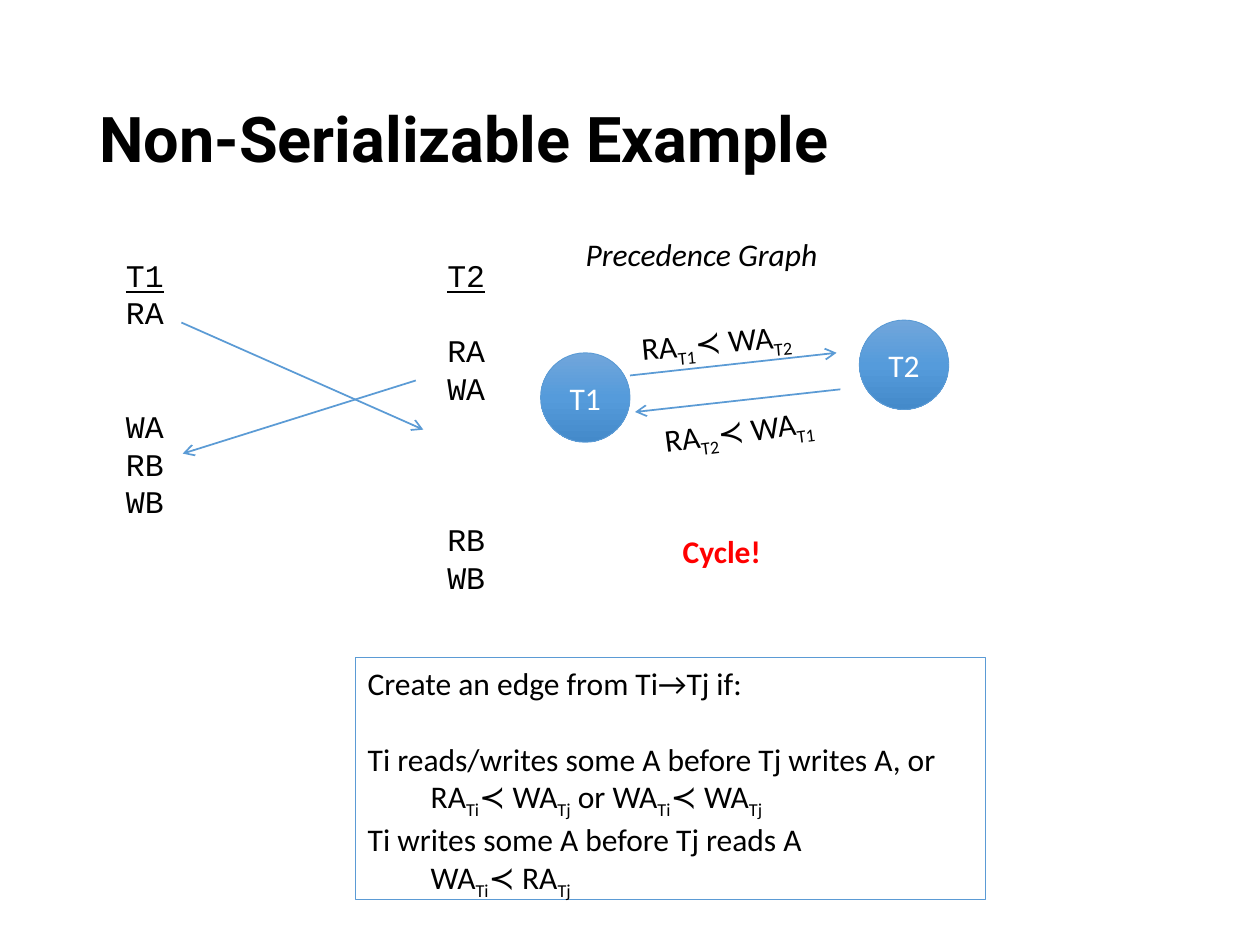
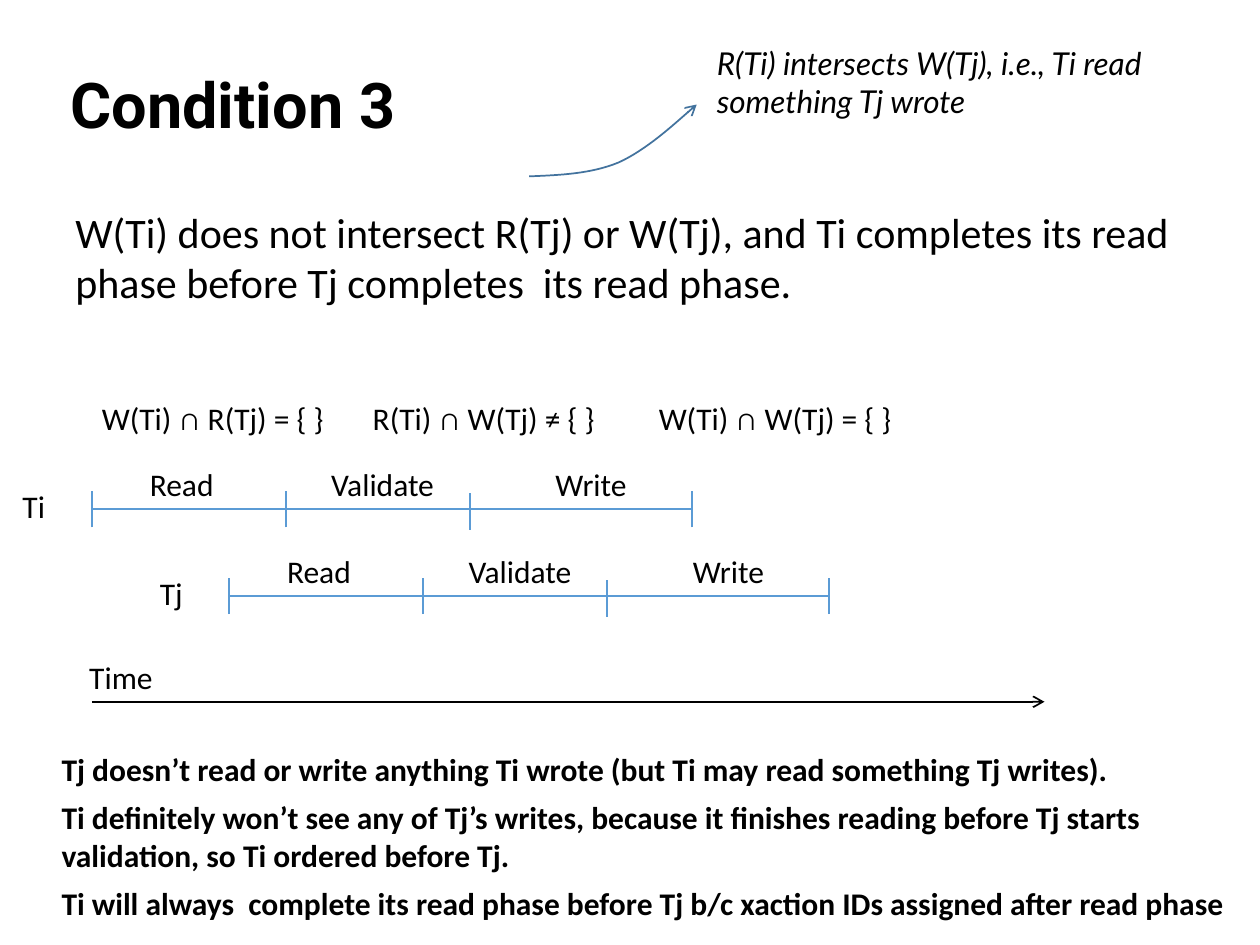
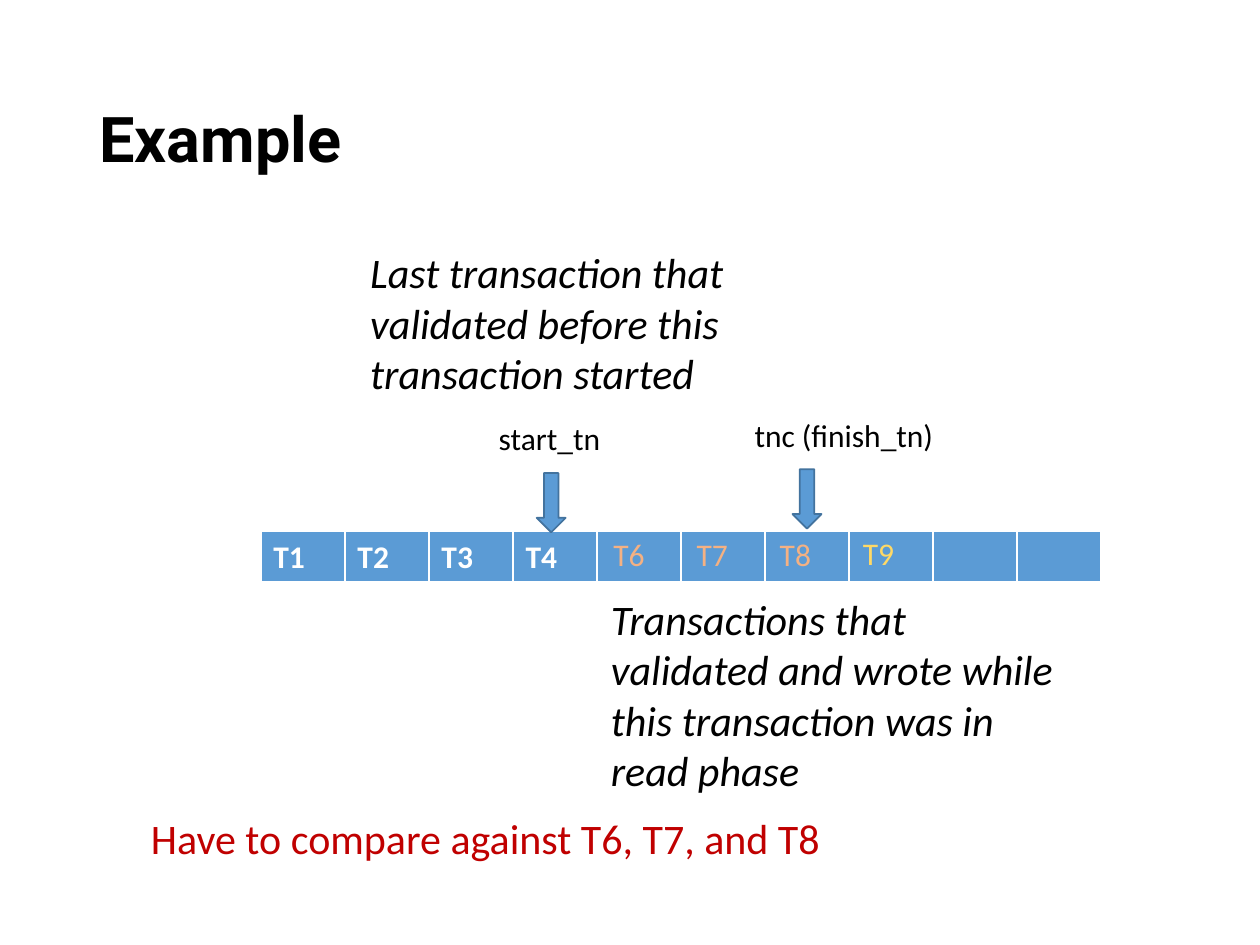
"""Build three slides on transaction ordering and optimistic validation."""
from copy import deepcopy
from dataclasses import dataclass

from lxml import etree
from pptx import Presentation
from pptx.dml.color import RGBColor
from pptx.enum.shapes import MSO_CONNECTOR, MSO_SHAPE
from pptx.enum.text import MSO_ANCHOR, PP_ALIGN
from pptx.oxml.ns import qn
from pptx.util import Emu, Inches, Pt

STRAIGHT = MSO_CONNECTOR.STRAIGHT
RECT, OVAL, DOWN = MSO_SHAPE.RECTANGLE, MSO_SHAPE.OVAL, MSO_SHAPE.DOWN_ARROW
TOP, MIDDLE = MSO_ANCHOR.TOP, MSO_ANCHOR.MIDDLE
LEFT, CENTER = PP_ALIGN.LEFT, PP_ALIGN.CENTER

COLORS = {
    "black": "000000", "white": "FFFFFF", "blue": "5B9BD5", "navy": "43739E",
    "top": "71A6DB", "mid": "559BDB", "bottom": "448ACA", "red": "FF0000",
    "brick": "C00000", "peach": "F4B183", "gold": "FFD966",
}
WIDTH, HEIGHT = Inches(10), Inches(7.5)
COLS, ROWS = 100, 75


@dataclass(frozen=True)
class Box:
    """An area in grid columns and rows."""
    col: float
    row: float
    cols: float
    rows: float = 4

    def emu(self) -> tuple[Emu, Emu, Emu, Emu]:
        """Return left, top, width and height."""
        return x(self.col), y(self.row), x(self.cols), y(self.rows)


@dataclass(frozen=True)
class Para:
    """A paragraph whose every second piece is a subscript."""
    pieces: tuple[str, ...]
    indent: float = 0
    before: float = 0


@dataclass(frozen=True)
class Phase:
    """A phase of a transaction, placed from the start of its timeline."""
    name: str
    label_col: float
    label_cols: float
    end_col: float
    drop: float = 0


@dataclass(frozen=True)
class Node:
    """A transaction in the precedence graph."""
    name: str
    col: float
    row: float


@dataclass(frozen=True)
class Arrow:
    """An arrow between two grid points."""
    start: tuple[float, float]
    end: tuple[float, float]


@dataclass(frozen=True)
class Label:
    """A short text with its place, colour and rotation."""
    pieces: tuple[str, ...]
    box: Box
    color: str = "black"
    turn: float = 0


PHASES = (Phase("Read", 3.6, 7.1, 15.4), Phase("Validate", 18, 12.8, 30, 0.2),
          Phase("Write", 35.8, 12.8, 47.6))


def x(cols: float) -> Emu:
    """Convert columns to a length."""
    return Emu(round(WIDTH * cols / COLS))


def y(rows: float) -> Emu:
    """Convert rows to a length."""
    return Emu(round(HEIGHT * rows / ROWS))


def rgb(name: str) -> RGBColor:
    """Look up a colour."""
    return RGBColor.from_string(COLORS[name])


def add_run(p, text: str, *, size: float = 18, font: str = "Calibri",
            color: str = "black", bold: bool = False, italic: bool = False,
            underline: bool = False, sub: bool = False) -> None:
    """Add a formatted run to a paragraph."""
    r = p.add_run()
    r.text = text
    f = r.font
    f.size, f.name, f.bold, f.italic = Pt(size), font, bold, italic
    f.underline = underline
    f.color.rgb = rgb(color)
    if sub:
        f._element.set("baseline", "-25000")


def write(sp, *paras: str | Para, anchor=TOP, align=LEFT, spacing: float = 1,
          before: float = 0, after: float = 0, **font) -> None:
    """Fill a shape with paragraphs."""
    tf = sp.text_frame
    tf.word_wrap = True
    tf.vertical_anchor = anchor
    for i, item in enumerate(paras):
        para = item if isinstance(item, Para) else Para((item,))
        p = tf.add_paragraph() if i else tf.paragraphs[0]
        p.alignment, p.line_spacing = align, spacing
        p.space_before = Pt(para.before or before)
        p.space_after = Pt(after)
        if para.indent:
            p._p.get_or_add_pPr().set("marL", str(x(para.indent)))
        for j, piece in enumerate(para.pieces):
            add_run(p, piece, sub=j % 2 == 1, **font)


def add_text(slide, box: Box, *paras: str | Para, turn: float = 0, **fmt) -> None:
    """Add a text box."""
    sp = slide.shapes.add_textbox(*box.emu())
    sp.rotation = turn
    write(sp, *paras, **fmt)


def add_label(slide, label: Label) -> None:
    """Add a short label."""
    add_text(slide, label.box, Para(label.pieces), color=label.color, turn=label.turn)


def add_title(slide, text: str, col: float = 6.9, row: float = 4) -> None:
    """Add the slide title."""
    add_text(slide, Box(col, row, 86.2, 14.5), text, anchor=MIDDLE, spacing=0.9,
             size=36, font="Roboto", bold=True)


def add_shape(slide, kind, box: Box, fill: str | None = None,
              line: str | None = None, weight: float = 1):
    """Add a flat preset shape."""
    sp = slide.shapes.add_shape(kind, *box.emu())
    sp.shadow.inherit = False
    if fill:
        sp.fill.solid()
        sp.fill.fore_color.rgb = rgb(fill)
    else:
        sp.fill.background()
    if line:
        sp.line.color.rgb = rgb(line)
        sp.line.width = Pt(weight)
    else:
        sp.line.fill.background()
    return sp


def add_head(sp) -> None:
    """Put an open arrowhead on the end of a line."""
    ln = sp._element.spPr.find(qn("a:ln"))
    etree.SubElement(ln, qn("a:tailEnd"), type="arrow")


def add_line(slide, start: tuple[float, float], end: tuple[float, float],
             color: str = "blue", head: bool = False) -> None:
    """Draw a straight line."""
    sp = slide.shapes.add_connector(STRAIGHT, x(start[0]), y(start[1]),
                                    x(end[0]), y(end[1]))
    sp.line.color.rgb = rgb(color)
    sp.line.width = Pt(1)
    if head:
        add_head(sp)
    etree.SubElement(sp._element.spPr, qn("a:effectLst"))


def add_curve(slide, *points: tuple[float, float]) -> None:
    """Draw an arrow along cubic curves through a start and control points."""
    pts = [(x(c), y(r)) for c, r in points]
    fb = slide.shapes.build_freeform(*pts[0], scale=1.0)
    fb.add_line_segments(pts[1:], close=False)
    sp = fb.convert_to_shape()
    sp.shadow.inherit = False
    sp.fill.background()
    sp.line.color.rgb = rgb("navy")
    sp.line.width = Pt(1)
    add_head(sp)
    segments = list(sp._element.iter(qn("a:lnTo")))
    outline = segments[0].getparent()
    for i in range(0, len(segments), 3):
        curve = etree.SubElement(outline, qn("a:cubicBezTo"))
        for seg in segments[i:i + 3]:
            curve.append(seg[0])
            outline.remove(seg)


def add_node(slide, node: Node) -> None:
    """Draw a graph node with a vertical gradient."""
    sp = add_shape(slide, OVAL, Box(node.col, node.row, 7.1, 7.1), None, "blue", 0.5)
    sp.fill.gradient()
    sp.fill.gradient_angle = 270
    stops = next(sp._element.iter(qn("a:gsLst")))
    stops.insert(1, deepcopy(stops[0]))
    for i, (stop, color) in enumerate(zip(sp.fill.gradient_stops,
                                          ("top", "mid", "bottom"))):
        stop.position = i / 2
        stop.color.rgb = rgb(color)
    write(sp, node.name, anchor=MIDDLE, align=CENTER, color="white")


def add_schedule(slide) -> None:
    """Write the interleaved schedule in two columns."""
    gap = 25.5
    sp = add_shape(slide, RECT, Box(4, 19.8, 37.4, 43.4), "white")
    sp.text_frame.margin_left = x(6)
    font = {"font": "Courier New"}
    steps = [Para((op,), gap if second else 0) for op, second in (
        ("RA", False), ("RA", True), ("WA", True), ("WA", False), ("RB", False),
        ("WB", False), ("RB", True), ("WB", True))]
    write(sp, Para(()), *steps, **font)
    p = sp.text_frame.paragraphs[0]
    tabs = etree.SubElement(p._p.get_or_add_pPr(), qn("a:tabLst"))
    etree.SubElement(tabs, qn("a:tab"), pos=str(x(gap)), algn="l")
    add_run(p, "T1", underline=True, **font)
    add_run(p, "\t", **font)
    add_run(p, "T2", underline=True, **font)


def add_timeline(slide, name: str, col: float, row: float) -> None:
    """Draw the phases of a transaction."""
    add_line(slide, (col, row), (col + PHASES[-1].end_col, row))
    for offset, drop in [(0, 0)] + [(ph.end_col, ph.drop) for ph in PHASES]:
        add_line(slide, (col + offset, row + 1.45 + drop),
                 (col + offset, row - 1.45 + drop))
    for ph in PHASES:
        add_text(slide, Box(col + ph.label_col, row - 4, ph.label_cols), ph.name)
    add_text(slide, Box(col - 6.5, row - 2.2, 7.1), name)


def add_strip(slide, box: Box, names: tuple[str, ...], count: int) -> None:
    """Draw a one-row table of transactions."""
    table = slide.shapes.add_table(1, count, *box.emu()).table
    for i, cell in enumerate(table.iter_cells()):
        table.columns[i].width = x(box.cols / count)
        for side in "LRTB":
            ln = etree.SubElement(cell._tc.get_or_add_tcPr(), qn(f"a:ln{side}"),
                                  w=str(Pt(3 if side == "B" else 1)))
            fill = etree.SubElement(ln, qn("a:solidFill"))
            etree.SubElement(fill, qn("a:srgbClr"), val=COLORS["white"])
        cell.fill.solid()
        cell.fill.fore_color.rgb = rgb("blue")
        if i < len(names):
            add_run(cell.text_frame.paragraphs[0], names[i], color="white", bold=True)


def add_pointer(slide, text: str, col: float, row: float, cols: float) -> None:
    """Draw a label with a block arrow below it."""
    add_shape(slide, DOWN, Box(col + 4, row + 4.75, 2.3, 4.7), "blue", "navy")
    add_text(slide, Box(col, row, cols), text)


def build_graph(slide) -> None:
    """Build the slide with the precedence graph."""
    add_title(slide, "Non-Serializable Example")
    add_schedule(slide)
    for node in (Node("T1", 42.9, 28), Node("T2", 68.2, 25.4)):
        add_node(slide, node)
    for arrow in (Arrow((50, 29.8), (66.4, 28)), Arrow((66.7, 30.9), (50.4, 32.7)),
                  Arrow((14.4, 25.6), (33.6, 34.1)), Arrow((33, 30.2), (14.5, 36))):
        add_line(slide, arrow.start, arrow.end, head=True)
    for label in (Label(("RA", "T1", "≺ WA", "T2"), Box(49.9, 24.9, 17.8), turn=354.7),
                  Label(("RA", "T2", "≺ WA", "T1"), Box(51.7, 32, 16.3), turn=352.7)):
        add_label(slide, label)
    add_text(slide, Box(53.2, 41.7, 13.6), "Cycle!", color="red", bold=True)
    add_text(slide, Box(45.5, 18.2, 21.3), "Precedence Graph", italic=True)
    sp = add_shape(slide, RECT, Box(28.2, 52.2, 50, 19.2), None, "blue", 0.75)
    write(sp, "Create an edge from Ti→Tj if:",
          Para(("Ti reads/writes some A before Tj writes A, or",), before=21.6),
          Para(("RA", "Ti", "≺ WA", "Tj", " or WA", "Ti", "≺ WA", "Tj"), 5),
          "Ti writes some A before Tj reads A",
          Para(("WA", "Ti", "≺ RA", "Tj"), 5))


def build_condition(slide) -> None:
    """Build the slide with the two timelines."""
    add_title(slide, "Condition 3", 4.6, 1.3)
    add_text(slide, Box(5, 15.9, 90, 49.5),
             "W(Ti) does not intersect R(Tj) or W(Tj), and Ti completes its read "
             "phase before Tj completes  its read phase.", size=24, before=8)
    add_text(slide, Box(3.9, 59, 97.4, 14.8),
             "Tj doesn’t read or write anything Ti wrote "
             "(but Ti may read something Tj writes).",
             "Ti definitely won’t see any of Tj’s writes, because it finishes reading "
             "before Tj starts validation, so Ti ordered before Tj.",
             "Ti will always  complete its read phase before Tj b/c xaction IDs "
             "assigned after read phase", bold=True, after=6)
    add_timeline(slide, "Ti", 7.3, 40.4)
    add_timeline(slide, "Tj", 18.2, 47.3)
    add_line(slide, (7.3, 55.7), (82.9, 55.7), "black", head=True)
    add_text(slide, Box(6.1, 51.7, 33.2), "Time")
    for text, col in (("W(Ti) ∩ R(Tj) = { }", 7.1), ("R(Ti) ∩ W(Tj) ≠ { }", 28.6),
                      ("W(Ti) ∩ W(Tj) = { }", 51.3)):
        add_text(slide, Box(col, 31.2, 21.5), text)
    add_text(slide, Box(55.9, 3, 42.1, 7.1),
             "R(Ti) intersects W(Tj), i.e., Ti read something Tj wrote",
             font="Lato", italic=True)
    add_curve(slide, (42, 14), (44.5, 13.9), (46.9, 13.8), (49.1, 12.9),
              (51.3, 11.9), (55.3, 8.3), (55.3, 8.3))


def build_example(slide) -> None:
    """Build the slide with the strip of transactions."""
    add_title(slide, "Example")
    add_strip(slide, Box(20.7, 42.2, 66.7, 4.1), ("T1", "T2", "T3", "T4"), 10)
    for i, color in enumerate(("peach", "peach", "peach", "gold")):
        row = 41.9 if color == "gold" else 42
        add_label(slide, Label((f"T{6 + i}",), Box(47.7 + 6.6 * i, row, 5), color))
    add_pointer(slide, "tnc (finish_tn)", 58.9, 32.5, 16.6)
    add_pointer(slide, "start_tn", 38.6, 32.8, 11)
    add_text(slide, Box(47.5, 46.6, 38.4, 17.2),
             "Transactions that validated and wrote while this transaction was in "
             "read phase", size=24, italic=True)
    add_text(slide, Box(28.4, 19.1, 30.7, 13.1),
             "Last transaction that validated before this transaction started",
             size=24, italic=True)
    add_text(slide, Box(11, 64, 61, 5), "Have to compare against T6, T7, and T8",
             size=24, color="brick")


def main() -> None:
    """Build and save the presentation."""
    prs = Presentation()
    prs.slide_width, prs.slide_height = WIDTH, HEIGHT
    for build in (build_graph, build_condition, build_example):
        build(prs.slides.add_slide(prs.slide_layouts[6]))
    prs.save("out.pptx")


main()
